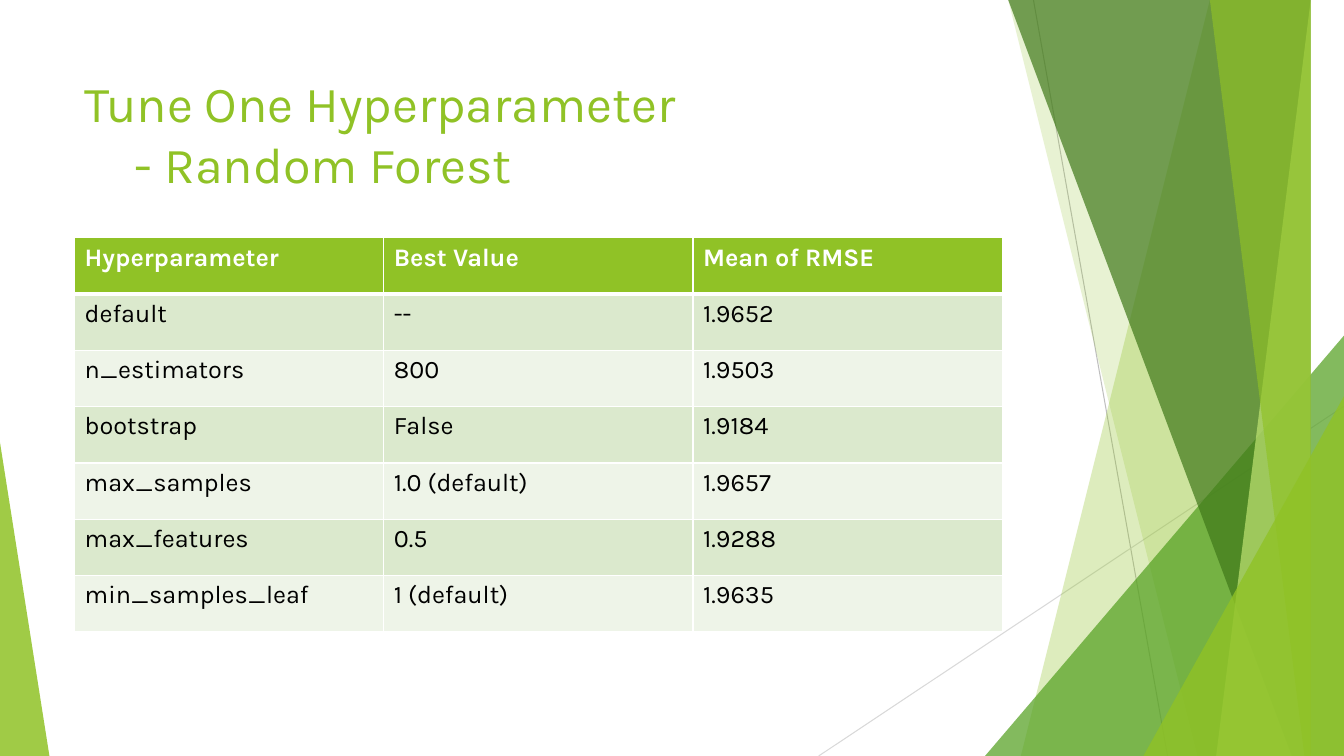
from lxml import etree
from pptx import Presentation
from pptx.dml.color import RGBColor
from pptx.enum import shapes, text
from pptx.oxml.ns import qn
from pptx.util import Inches, Pt

TITLE = "Tune One Hyperparameter\v\t- Random Forest"
ROWS = [
    ("Hyperparameter", "Best Value", "Mean of RMSE"),
    ("default", "--", "1.9652"),
    ("n_estimators", "800", "1.9503"),
    ("bootstrap", "False", "1.9184"),
    ("max_samples", "1.0 (default)", "1.9657"),
    ("max_features", "0.5", "1.9288"),
    ("min_samples_leaf", "1 (default)", "1.9635"),
]
THEME = {
    "font": "Karla", "title": 36, "body": 18,
    "lime": "90C226", "green": "54A021", "dark": "3F7819", "pale": "C0E474",
    "white": "FFFFFF", "black": "000000",
    "bands": ("EEF4E8", "DBE9CD"), "gray": "BFBFBF", "mist": "D9D9D9",
}
WIDE, HIGH = 13.33, 7.5
LINES = [
    ((10.25, 0), (11.58, HIGH), "gray"),
    ((WIDE, 4.03), (8.12, HIGH), "mist"),
]
# kind, geometry, colour, opacity
FACETS = [
    ("band", (12.28, 10.04), "lime", 30),
    ("band", (10.5, 11.83), "lime", 20),
    ("peak", (9.77, 3.33, 3.56, 1), "green", 72),
    ("band", (10.21, 12.91), "dark", 70),
    ("band", (13.03, 11.92), "pale", 70),
    ("band", (11.96, 13.18), "lime", 65),
    ("peak", (11.34, 3.93, 1.99, 1), "lime", 80),
    ("peak", (0, 4.39, 0.49, 0), "lime", 85),
]


def color(code):
    return RGBColor.from_string(code)


def style(font, size, code, bold=False):
    font.name, font.size, font.bold = THEME["font"], Pt(size), bold
    font.color.rgb = color(code)


def line(slide, start, end, tone):
    rule = slide.shapes.add_connector(
        shapes.MSO_CONNECTOR.STRAIGHT, *map(Inches, start + end))
    rule.line.color.rgb = color(THEME[tone])
    rule.line.width = Pt(0.75)
    etree.SubElement(rule._element.spPr, qn("a:effectLst"))


def facet(slide, kind, geo, tone, alpha):
    if kind == "band":
        top, foot = geo
        pen = slide.shapes.build_freeform(top, 0, Inches(1))
        pen.add_line_segments([(WIDE, 0), (WIDE, HIGH), (foot, HIGH)])
        shape = pen.convert_to_shape()
    else:
        x, y, w, apex = geo
        shape = slide.shapes.add_shape(
            shapes.MSO_SHAPE.ISOSCELES_TRIANGLE,
            *map(Inches, (x, y, w, HIGH - y)))
        shape.adjustments[0] = apex
    shape.shadow.inherit = False
    shape.fill.solid()
    shape.fill.fore_color.rgb = color(THEME[tone])
    shape.line.fill.background()
    tint = shape._element.spPr.find(qn("a:solidFill"))[0]
    etree.SubElement(tint, qn("a:alpha"), val=str(alpha * 1000))


def heading(slide):
    box = slide.shapes.add_textbox(*map(Inches, (0.74, 0.67, 9.4, 1.44)))
    frame = box.text_frame
    frame.word_wrap = True
    frame.vertical_anchor = text.MSO_ANCHOR.TOP
    para = frame.paragraphs[0]
    para.text = TITLE
    style(para.font, THEME["title"], THEME["lime"])
    tabs = etree.Element(qn("a:tabLst"))
    etree.SubElement(tabs, qn("a:tab"), pos=str(Inches(0.5)), algn="l")
    para._p.get_or_add_pPr().insert(0, tabs)


def border(cell, head):
    props = cell._tc.get_or_add_tcPr()
    for spot, side in enumerate("LRTB"):
        width = 3 if head and side == "B" else 1
        edge = etree.Element(qn("a:ln" + side), w=str(Pt(width)))
        fill = etree.SubElement(edge, qn("a:solidFill"))
        etree.SubElement(fill, qn("a:srgbClr"), val=THEME["white"])
        props.insert(spot, edge)


def results(slide):
    count, span = len(ROWS), len(ROWS[0])
    table = slide.shapes.add_table(
        count, span, *map(Inches, (0.74, 2.36, 9.2, 3.91))).table
    for r, row in enumerate(ROWS):
        head = r == 0
        for c, words in enumerate(row):
            cell = table.cell(r, c)
            cell.text = words
            style(cell.text_frame.paragraphs[0].font, THEME["body"],
                  THEME["white" if head else "black"], head)
            cell.fill.solid()
            cell.fill.fore_color.rgb = color(
                THEME["lime"] if head else THEME["bands"][r % 2])
            border(cell, head)


def main():
    deck = Presentation()
    deck.slide_width, deck.slide_height = Inches(WIDE), Inches(HIGH)
    slide = deck.slides.add_slide(deck.slide_layouts[6])
    for item in LINES:
        line(slide, *item)
    for item in FACETS:
        facet(slide, *item)
    heading(slide)
    results(slide)
    deck.save("out.pptx")


if __name__ == "__main__":
    main()
